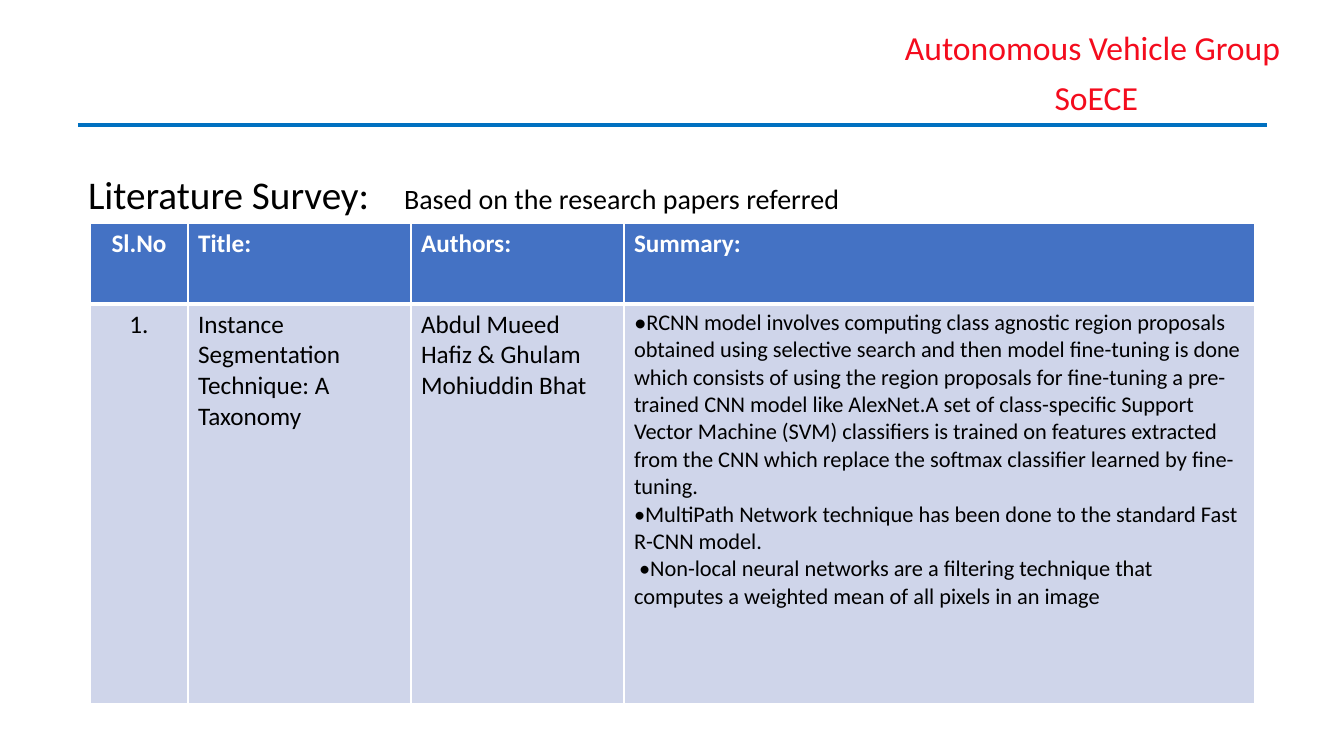
"""Build the literature survey slide of the autonomous vehicle group."""
from dataclasses import dataclass

import lxml.etree
import pptx
import pptx.dml.color
import pptx.enum.shapes
import pptx.enum.text
import pptx.oxml.ns
import pptx.util

EMU_PER_PIXEL = 914400 / 100.8
FONT = "Calibri"
BLACK, WHITE, RED = "000000", "FFFFFF", "F40C1D"
RULE_BLUE, HEADER_BLUE, BODY_BLUE = "0070C0", "4472C4", "CFD5EA"
ALIGN = pptx.enum.text.PP_ALIGN
qn = pptx.oxml.ns.qn


@dataclass
class Column:
    heading: str
    width: int
    body: str
    align: ALIGN = ALIGN.LEFT


@dataclass
class Bullet:
    text: str
    size_percent: int = 100
    first_line: int = 0


COLUMNS = [
    Column("Sl.No", 98, "1.", ALIGN.CENTER),
    Column("Title:", 223, "Instance Segmentation Technique: A Taxonomy"),
    Column("Authors:", 213, "Abdul Mueed Hafiz & Ghulam Mohiuddin Bhat"),
    Column("Summary:", 631, ""),
]
ROW_HEIGHTS = [81, 400]
SUMMARY = [
    Bullet("RCNN model involves computing class agnostic region proposals obtained "
           "using selective search and then model fine-tuning is done which consists "
           "of using the region proposals for fine-tuning a pre-trained CNN model like "
           "AlexNet.A set of class-specific Support Vector Machine (SVM) classifiers is "
           "trained on features extracted from the CNN which replace the softmax "
           "classifier learned by fine-tuning.", size_percent=112),
    Bullet("MultiPath Network technique has been done to the standard Fast R-CNN model."),
    Bullet("Non-local neural networks are a filtering technique that computes a "
           "weighted mean of all pixels in an image", first_line=5),
]


def px(pixels: int) -> pptx.util.Emu:
    return pptx.util.Emu(round(pixels * EMU_PER_PIXEL))


def rgb(value: str) -> pptx.dml.color.RGBColor:
    return pptx.dml.color.RGBColor.from_string(value)


def add_element(parent, tag: str, **attributes):
    element = lxml.etree.SubElement(parent, qn(tag))
    for name, value in attributes.items():
        element.set(name, str(value))
    return element


def format_span(span, size: int, color: str, bold: bool = False) -> None:
    span.font.name = FONT
    span.font.size = pptx.util.Pt(size)
    span.font.bold = bold
    span.font.color.rgb = rgb(color)


def format_frame(frame, size: int, color: str, align: ALIGN, bold: bool = False) -> None:
    for para in frame.paragraphs:
        para.alignment = align
        for span in para.runs:
            format_span(span, size, color, bold)


def add_group_name(page) -> None:
    box = page.shapes.add_textbox(px(877), px(26), px(431), px(108))
    frame = box.text_frame
    frame.word_wrap = True
    frame.text = "Autonomous Vehicle Group\n SoECE"
    format_frame(frame, 24, RED, ALIGN.CENTER)
    for para in frame.paragraphs:
        para.line_spacing = 0.9
        para.space_before = pptx.util.Pt(10)


def add_rule(page) -> None:
    rule = page.shapes.add_connector(
        pptx.enum.shapes.MSO_CONNECTOR.STRAIGHT, px(78), px(125), px(1267), px(125))
    rule.line.color.rgb = rgb(RULE_BLUE)
    rule.line.width = pptx.util.Pt(3)
    add_element(rule._element.spPr, "a:effectLst")


def fill_title(page) -> None:
    title = page.shapes.title
    title.left, title.top, title.width, title.height = px(78), px(165), px(1177), px(57)
    frame = title.text_frame
    frame.word_wrap = True
    frame.auto_size = pptx.enum.text.MSO_AUTO_SIZE.NONE
    frame.vertical_anchor = pptx.enum.text.MSO_ANCHOR.TOP
    para = frame.paragraphs[0]
    para.alignment = ALIGN.LEFT
    for text, size in [("Literature Survey:\t", 28),
                       ("Based on the research papers referred", 20)]:
        span = para.add_run()
        span.text = text
        format_span(span, size, BLACK)
    tabs = add_element(para._p.get_or_add_pPr(), "a:tabLst")
    add_element(tabs, "a:tab", pos=px(316), algn="l")


def style_cell(cell, fill: str, top: int, bottom: int) -> None:
    properties = cell._tc.get_or_add_tcPr()
    for side, points in [("L", 1), ("R", 1), ("T", top), ("B", bottom)]:
        border = add_element(properties, f"a:ln{side}", w=pptx.util.Pt(points))
        add_element(add_element(border, "a:solidFill"), "a:srgbClr", val=WHITE)
    cell.fill.solid()
    cell.fill.fore_color.rgb = rgb(fill)


def fill_summary(cell) -> None:
    frame = cell.text_frame
    frame.text = "\n".join(bullet.text for bullet in SUMMARY)
    format_frame(frame, 16, BLACK, ALIGN.LEFT)
    for para, bullet in zip(frame.paragraphs, SUMMARY):
        properties = para._p.get_or_add_pPr()
        properties.set("marL", "0")
        properties.set("indent", str(px(bullet.first_line)))
        add_element(properties, "a:buSzPct", val=bullet.size_percent * 1000)
        add_element(properties, "a:buFont", typeface=FONT)
        add_element(properties, "a:buChar", char="•")


def add_survey_table(page) -> None:
    table = page.shapes.add_table(
        len(ROW_HEIGHTS), len(COLUMNS), px(90), px(223),
        px(sum(column.width for column in COLUMNS)), px(sum(ROW_HEIGHTS))).table
    for row, height in zip(table.rows, ROW_HEIGHTS):
        row.height = px(height)
    for index, column in enumerate(COLUMNS):
        table.columns[index].width = px(column.width)
        header, body = table.cell(0, index), table.cell(1, index)
        style_cell(header, HEADER_BLUE, top=1, bottom=3)
        style_cell(body, BODY_BLUE, top=3, bottom=1)
        header.text_frame.text = column.heading
        format_frame(header.text_frame, 18, WHITE, column.align, bold=True)
        body.text_frame.text = column.body
        format_frame(body.text_frame, 18, BLACK, column.align)
    fill_summary(table.cell(1, len(COLUMNS) - 1))


def main() -> None:
    deck = pptx.Presentation()
    deck.slide_width, deck.slide_height = px(1344), px(756)
    page = deck.slides.add_slide(deck.slide_layouts.get_by_name("Title Only"))
    add_group_name(page)
    add_rule(page)
    fill_title(page)
    add_survey_table(page)
    deck.save("out.pptx")


main()
